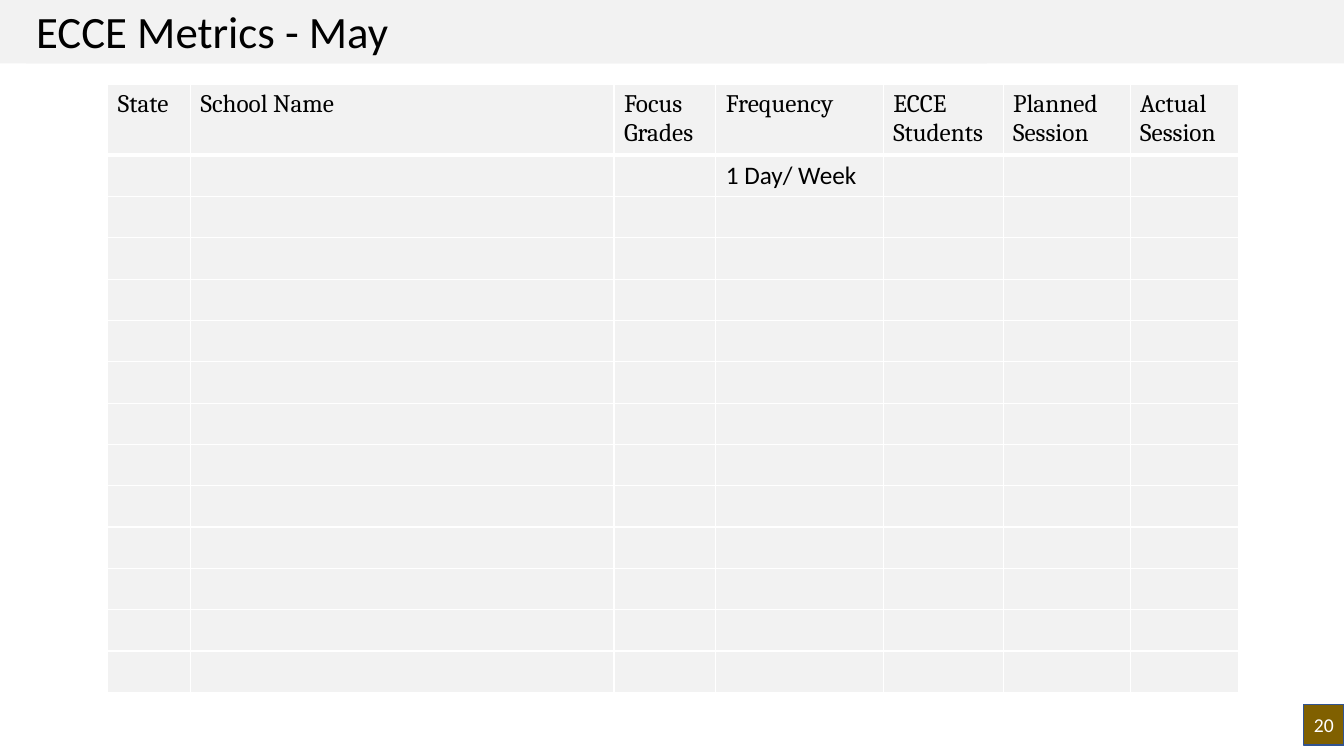
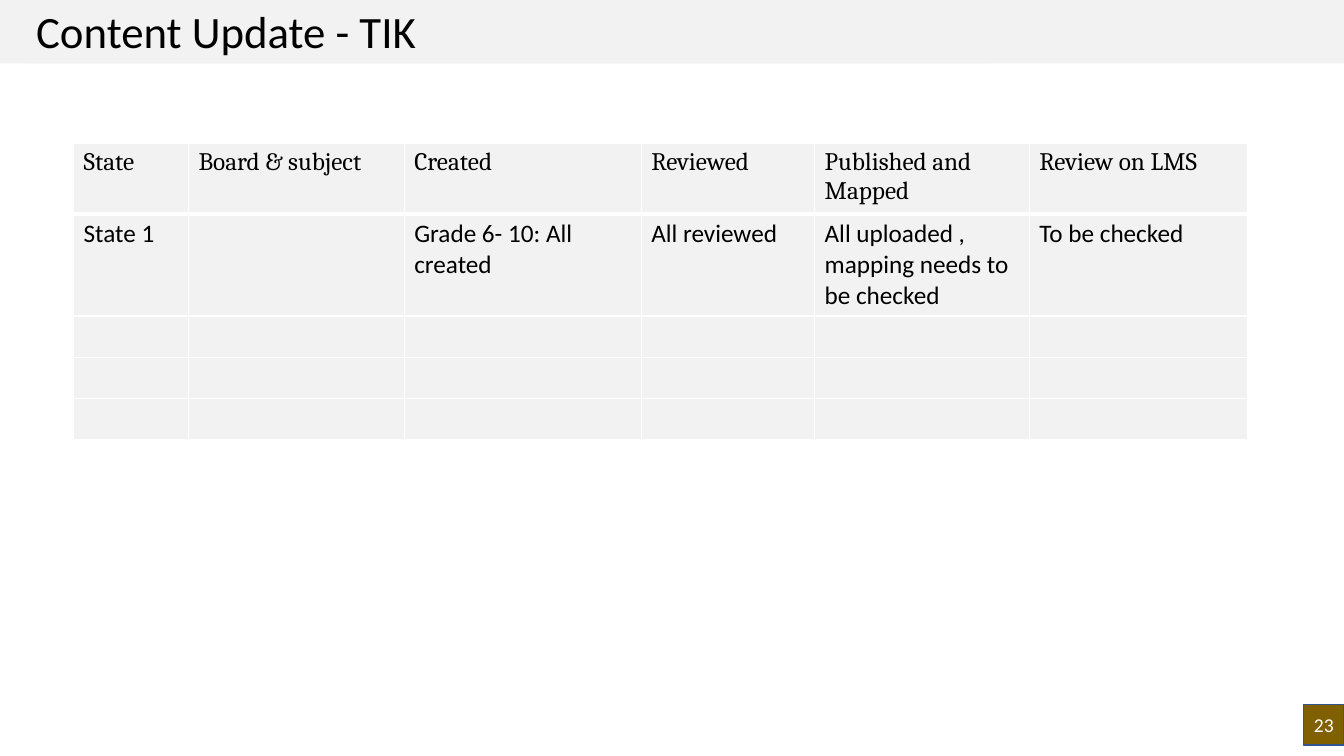
from pptx import Presentation
from pptx.dml.color import RGBColor
from pptx.enum.shapes import MSO_SHAPE
from pptx.enum.text import MSO_ANCHOR, PP_ALIGN
from pptx.oxml.ns import qn
from pptx.util import Inches, Pt
from lxml import etree

RECT = MSO_SHAPE.RECTANGLE
TOP, MIDDLE = MSO_ANCHOR.TOP, MSO_ANCHOR.MIDDLE
LEFT, CENTER = PP_ALIGN.LEFT, PP_ALIGN.CENTER

COLORS = {
    "panel": "F2F2F2",
    "text": "000000",
    "light": "FFFFFF",
    "badge": "806000",
    "badge_line": "325491",
}
BODY_FONT, HEADER_FONT = "Calibri", "Cambria"
ROW_HEIGHT, HEADER_HEIGHT = 0.41, 0.7


def rgb(name):
    return RGBColor.from_string(COLORS[name])


def write(frame, text, size=18, font=BODY_FONT, color="text", align=LEFT, anchor=TOP):
    frame.word_wrap = True
    frame.vertical_anchor = anchor
    paragraph = frame.paragraphs[0]
    paragraph.alignment = align
    run = paragraph.add_run()
    run.text = text
    run.font.size = Pt(size)
    run.font.name = font
    run.font.bold = False
    run.font.color.rgb = rgb(color)


def set_borders(cell, **widths):
    """Draw white cell borders; widths are points keyed L, R, T, B in that order."""
    properties = cell._tc.get_or_add_tcPr()
    for side, width in widths.items():
        line = etree.SubElement(properties, qn(f"a:ln{side}"), w=str(Pt(width)))
        fill = etree.SubElement(line, qn("a:solidFill"))
        etree.SubElement(fill, qn("a:srgbClr"), val=COLORS["light"])


class Deck:
    def __init__(self):
        self.presentation = Presentation()
        self.presentation.slide_width = Inches(13.33)
        self.presentation.slide_height = Inches(7.5)
        self.slide = None

    def add_slide(self, title, number):
        """Start a slide with its title band and page number."""
        self.slide = self.presentation.slides.add_slide(self.presentation.slide_layouts[6])
        self.box(-0.18, -0.01, 13.7, 0.64, "panel")
        heading = self.box(0.26, -0.01, 9.53, 0.64, "panel")
        write(heading.text_frame, title, size=32)
        badge = self.box(12.93, 6.99, 0.4, 0.4, "badge", line="badge_line")
        badge.text_frame.margin_left = badge.text_frame.margin_right = 0
        write(badge.text_frame, str(number), size=14, color="light",
              align=CENTER, anchor=MIDDLE)

    def box(self, left, top, width, height, fill, line=None):
        shape = self.slide.shapes.add_shape(
            RECT, Inches(left), Inches(top), Inches(width), Inches(height))
        shape.shadow.inherit = False
        shape.fill.solid()
        shape.fill.fore_color.rgb = rgb(fill)
        if line:
            shape.line.color.rgb = rgb(line)
            shape.line.width = Pt(1)
        else:
            shape.line.fill.background()
        return shape

    def table(self, left, top, columns, entries, row_heights):
        """Columns are (heading, width) pairs; entries map (row, column) to text."""
        heights = [HEADER_HEIGHT, *row_heights]
        table = self.slide.shapes.add_table(
            len(heights), len(columns), Inches(left), Inches(top),
            Inches(sum(width for _, width in columns)), Inches(sum(heights))).table
        for row, height in zip(table.rows, heights):
            row.height = Inches(height)
        for c, (heading, width) in enumerate(columns):
            table.columns[c].width = Inches(width)
            for r in range(len(heights)):
                cell = table.cell(r, c)
                set_borders(cell, L=1, R=1, T=3 if r == 1 else 1, B=3 if r == 0 else 1)
                cell.fill.solid()
                cell.fill.fore_color.rgb = rgb("panel")
                if r == 0:
                    write(cell.text_frame, heading, font=HEADER_FONT)
                elif (r, c) in entries:
                    write(cell.text_frame, entries[r, c])


def main():
    deck = Deck()

    deck.add_slide("ECCE Metrics - May", 20)
    metrics = [("State", 0.82), ("School Name", 4.2), ("Focus Grades", 1.01),
               ("Frequency", 1.66), ("ECCE Students", 1.19),
               ("Planned Session", 1.26), ("Actual Session", 1.08)]
    deck.table(1.07, 0.84, metrics, {(1, 3): "1 Day/ Week"}, [ROW_HEIGHT] * 13)

    deck.add_slide("Content Update - TIK", 23)
    stages = [("State", 1.14), ("Board & subject", 2.14), ("Created", 2.35),
              ("Reviewed", 1.72), ("Published and Mapped", 2.13),
              ("Review on LMS", 2.16)]
    progress = {
        (1, 0): "State 1",
        (1, 2): "Grade 6- 10: All created",
        (1, 3): "All reviewed",
        (1, 4): "All uploaded , mapping needs to be checked",
        (1, 5): "To be checked",
    }
    deck.table(0.73, 1.42, stages, progress, [1] + [ROW_HEIGHT] * 3)

    deck.presentation.save("out.pptx")


if __name__ == "__main__":
    main()
